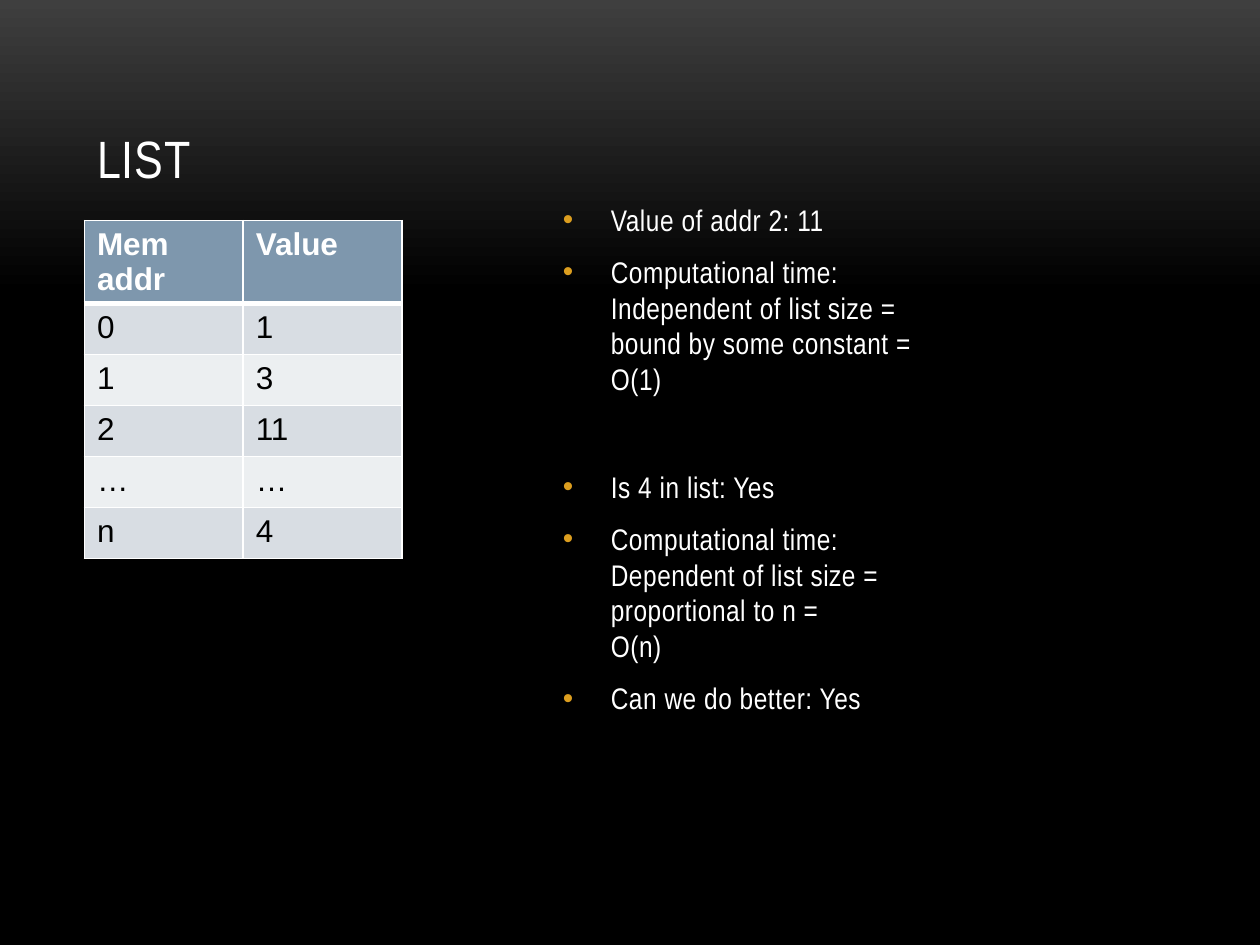
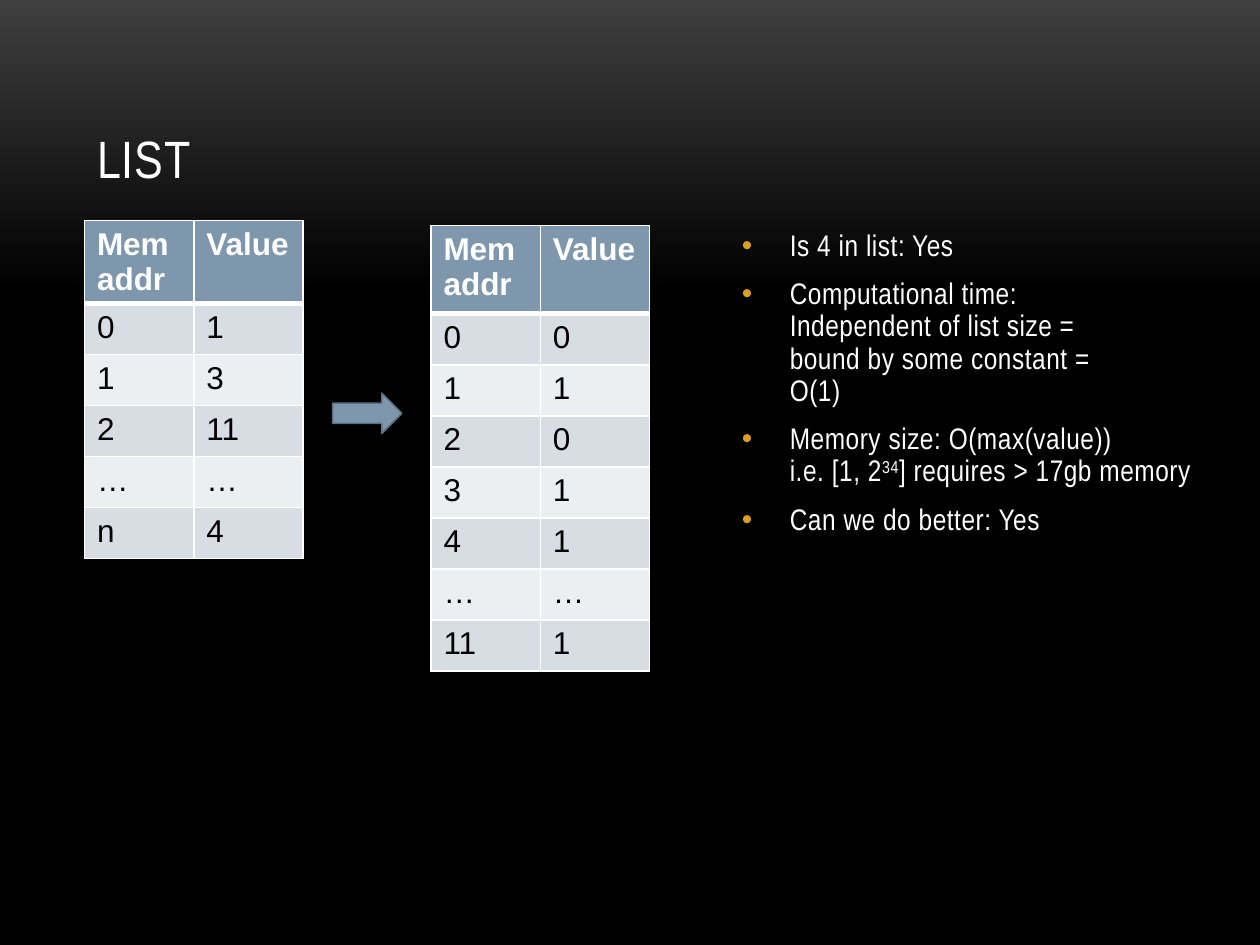
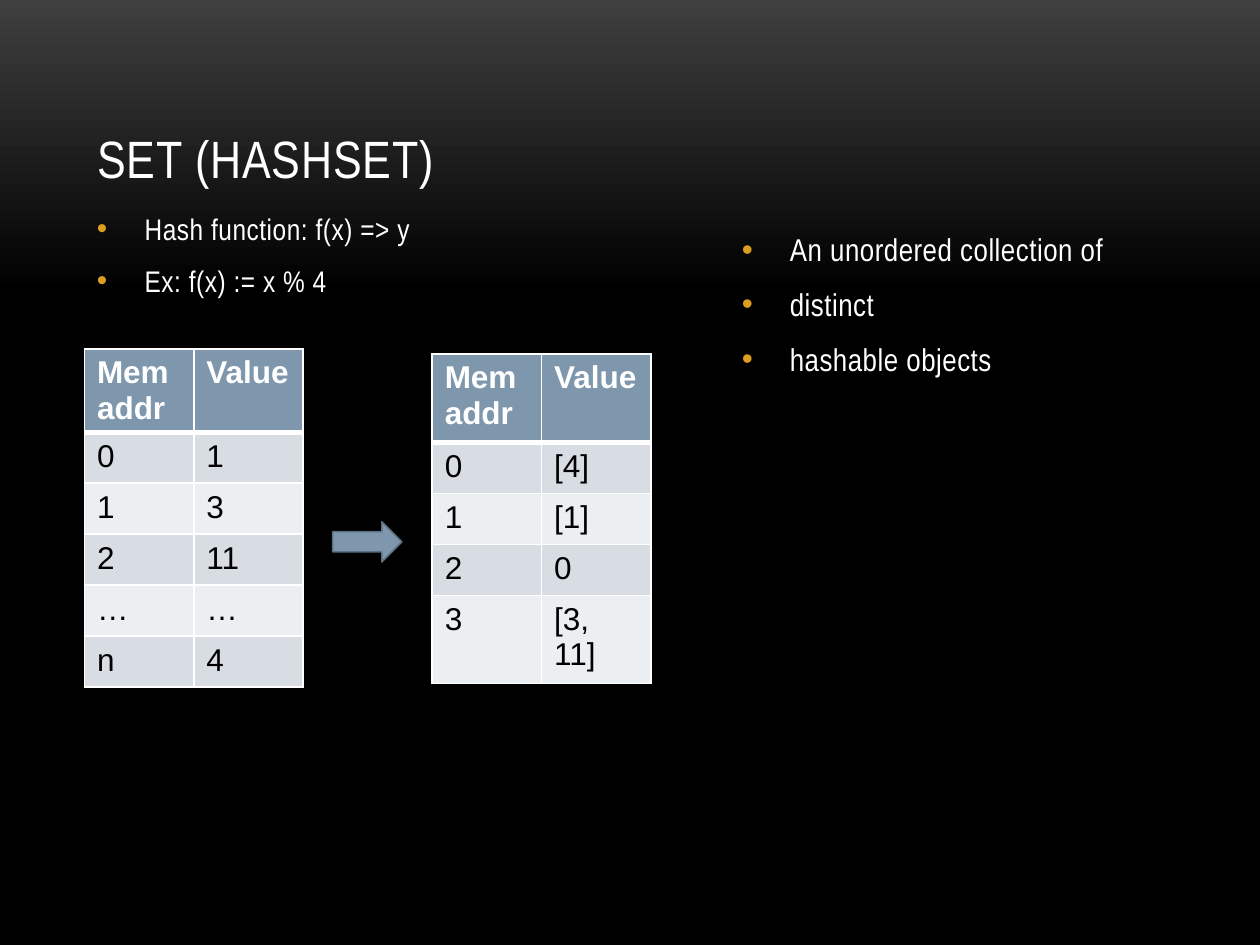
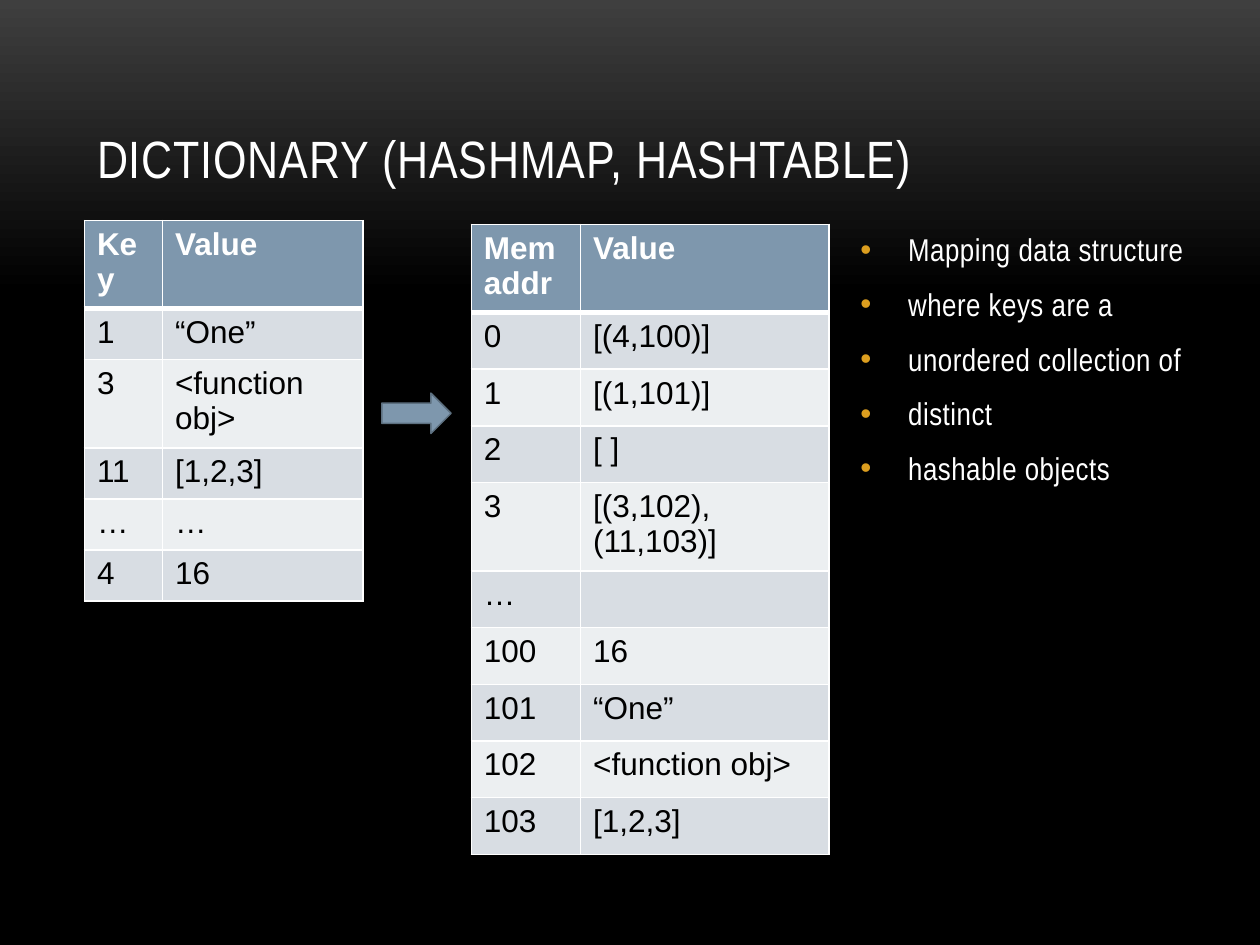
from copy import deepcopy

from lxml.etree import SubElement
from pptx import Presentation
from pptx.dml.color import RGBColor
from pptx.enum.shapes import MSO_SHAPE
from pptx.enum.text import MSO_ANCHOR, PP_ALIGN
from pptx.oxml.ns import qn
from pptx.util import Inches, Pt

WHITE, BLACK, SLATE = "FFFFFF", "000000", "7E97AD"
EDGE, GOLD = "5D7080", "DC9E1F"
BANDS = "D8DDE3", "ECEFF1"
GLOW = (0, "3F3F3F"), (0.31, BLACK), (1, BLACK)
SANS, SLIM = "Arial", "Arial Narrow"
HANG = 0.38

HEAD = ("Mem addr", "Value")
LIST = [HEAD, ("0", "1"), ("1", "3"), ("2", "11"), ("…", "…"), ("n", "4")]
FLAGS = [HEAD, ("0", "0"), ("1", "1"), ("2", "0"), ("3", "1"), ("4", "1"),
         ("…", "…"), ("11", "1")]
HASHES = [HEAD, ("0", "[4]"), ("1", "[1]"), ("2", "0"), ("3", "[3, 11]")]
KEYS = [("Key", "Value"), ("1", "“One”"), ("3", "<function obj>"),
        ("11", "[1,2,3]"), ("…", "…"), ("4", "16")]
SLOTS = [HEAD, ("0", "[(4,100)]"), ("1", "[(1,101)]"), ("2", "[ ]"),
         ("3", "[(3,102), (11,103)]"), ("…", ""), ("100", "16"),
         ("101", "“One”"), ("102", "<function obj>"), ("103", "[1,2,3]")]
CONST = ("Computational time:\nIndependent of list size = \n"
         "bound by some constant = \nO(1)")
LINEAR = ("Computational time:\nDependent of list size = \n"
          "proportional to n = \nO(n)")
FOUND, BETTER = "Is 4 in list: Yes", "Can we do better: Yes"
PAIR = (8.68, 8.68)


def rgb(code):
    return RGBColor.from_string(code)


def put(obj, **vals):
    for name, val in vals.items():
        setattr(obj, name, val)


def ink(run, size, face, color, bold=False, gap=None):
    """Format a run; gap is the letter spacing in points."""
    put(run.font, size=Pt(size), name=face, bold=bold)
    run.font.color.rgb = rgb(color)
    if gap:
        run.font._element.set("spc", str(round(gap * 100)))


class Deck:
    """Holds the shared style and the current slide, on a 100 by 75 grid."""

    def __init__(self):
        self.prs = Presentation()
        put(self.prs, slide_width=Inches(10), slide_height=Inches(7.5))
        self.unit = self.prs.slide_width / 100
        self.glow()

    def glow(self):
        """Fade the master background from grey at the top to black."""
        master = self.prs.slide_master
        fill = master.background.fill
        fill.gradient()
        fill.gradient_angle = 270
        stops = master.element.find(".//" + qn("a:gsLst"))
        stops.append(deepcopy(stops[-1]))
        for stop, (pos, color) in zip(fill.gradient_stops, GLOW):
            stop.position = pos
            stop.color.rgb = rgb(color)

    def span(self, *cells):
        return [round(cell * self.unit) for cell in cells]

    def page(self, title):
        self.slide = self.prs.slides.add_slide(self.prs.slide_layouts[5])
        self.shapes = self.slide.shapes
        box = self.shapes.title
        left, top, width, height = self.span(6.7, 3, 86.7, 12.5)
        put(box, left=left, top=top, width=width, height=height)
        frame = box.text_frame
        put(frame, text=title, vertical_anchor=MSO_ANCHOR.BOTTOM)
        para = frame.paragraphs[0]
        para.alignment = PP_ALIGN.LEFT
        ink(para.runs[0], 30, SLIM, WHITE, gap=0.5)

    def bullets(self, place, items, size=17, lead=None):
        frame = self.shapes.add_textbox(*self.span(*place)).text_frame
        frame.word_wrap = True
        for i, item in enumerate(items):
            para = frame.add_paragraph() if i else frame.paragraphs[0]
            put(para, space_before=Pt(size * 0.2), space_after=Pt(6))
            if lead:
                para.line_spacing = lead
            self.mark(para)
            self.words(para, item, size)

    def mark(self, para):
        """Give a paragraph a gold bullet and a hanging indent."""
        props = para._p.get_or_add_pPr()
        props.set("marL", str(Inches(HANG)))
        props.set("indent", str(Inches(-HANG)))
        tint = SubElement(props, qn("a:buClr"))
        SubElement(tint, qn("a:srgbClr"), val=GOLD)
        SubElement(props, qn("a:buFont"), typeface=SANS)
        SubElement(props, qn("a:buChar"), char="•")

    def words(self, para, text, size):
        """Add text; carets enclose a superscript."""
        for i, part in enumerate(text.split("^")):
            for j, line in enumerate(part.split("\n")):
                if j:
                    para.add_line_break()
                run = para.add_run()
                run.text = line
                ink(run, size, SLIM, WHITE, gap=0.3)
                if i % 2:
                    run.font._element.set("baseline", "30000")
        for br in para._p.findall(qn("a:br")):
            br.append(deepcopy(para.runs[0].font._element))

    def table(self, left, top, rows, cols=PAIR, step=4.05):
        place = self.span(left, top, sum(cols), step * len(rows))
        grid = self.shapes.add_table(len(rows), len(cols), *place).table
        for col, width in zip(grid.columns, self.span(*cols)):
            col.width = width
        for i, row in enumerate(rows):
            for j, text in enumerate(row):
                self.cell(grid.cell(i, j), text, i)

    def cell(self, cell, text, row):
        head = row == 0
        for side in "LRTB" if head else "LRB":
            self.rule(cell, side, 3 if head and side == "B" else 1)
        cell.fill.solid()
        cell.fill.fore_color.rgb = rgb(SLATE if head else BANDS[(row - 1) % 2])
        if text:
            cell.text = text
            ink(cell.text_frame.paragraphs[0].runs[0], 18, SANS,
                WHITE if head else BLACK, bold=head)

    def rule(self, cell, side, width):
        """Draw one white border of a cell."""
        props = cell._tc.get_or_add_tcPr()
        line = SubElement(props, qn("a:ln" + side), w=str(Pt(width)))
        fill = SubElement(line, qn("a:solidFill"))
        SubElement(fill, qn("a:srgbClr"), val=WHITE)

    def arrow(self, left, top):
        place = self.span(left, top, 5.5, 3.2)
        shape = self.shapes.add_shape(MSO_SHAPE.RIGHT_ARROW, *place)
        shape.shadow.inherit = False
        shape.fill.solid()
        shape.fill.fore_color.rgb = rgb(SLATE)
        shape.line.color.rgb = rgb(EDGE)
        shape.line.width = Pt(0.85)


def main():
    deck = Deck()

    deck.page("LIST")
    deck.table(6.7, 17.5, LIST, (12.6, 12.6))
    deck.bullets((43.7, 15.5, 49.6, 19.7), ["Value of addr 2: 11", CONST])
    deck.bullets((43.7, 36.7, 49.6, 27.6), [FOUND, LINEAR, BETTER])

    deck.page("LIST")
    deck.table(6.7, 17.5, LIST)
    memory = "Memory size: O(max(value))\ni.e. [1, 2^34^] requires > 17gb memory"
    deck.bullets((57.9, 17.8, 38.6, 26.8), [FOUND, CONST, memory, BETTER],
                 lead=0.9)
    deck.table(34.2, 17.9, FLAGS)
    deck.arrow(26.4, 31.2)

    deck.page("SET (HASHSET)")
    deck.table(6.7, 27.7, LIST)
    deck.bullets((57.9, 17.8, 40.2, 20.9),
                 ["An unordered collection of", "distinct", "hashable objects"],
                 size=18)
    deck.table(34.3, 28.1, HASHES)
    deck.arrow(26.4, 41.4)
    deck.bullets((6.7, 16.2, 37, 9.5),
                 ["Hash function: f(x) => y", "Ex: f(x) := x % 4"])

    deck.page("DICTIONARY (HASHMAP, HASHTABLE)")
    deck.bullets((67.3, 17.8, 30.7, 40.2),
                 ["Mapping data structure", "where keys are a",
                  "unordered collection of", "distinct", "hashable objects"],
                 size=18)
    deck.table(37.4, 17.8, SLOTS, (8.68, 19.7), step=4.5)
    deck.table(6.7, 17.5, KEYS, (6.2, 15.9))
    deck.arrow(30.3, 31.2)

    deck.prs.save("out.pptx")


if __name__ == "__main__":
    main()
